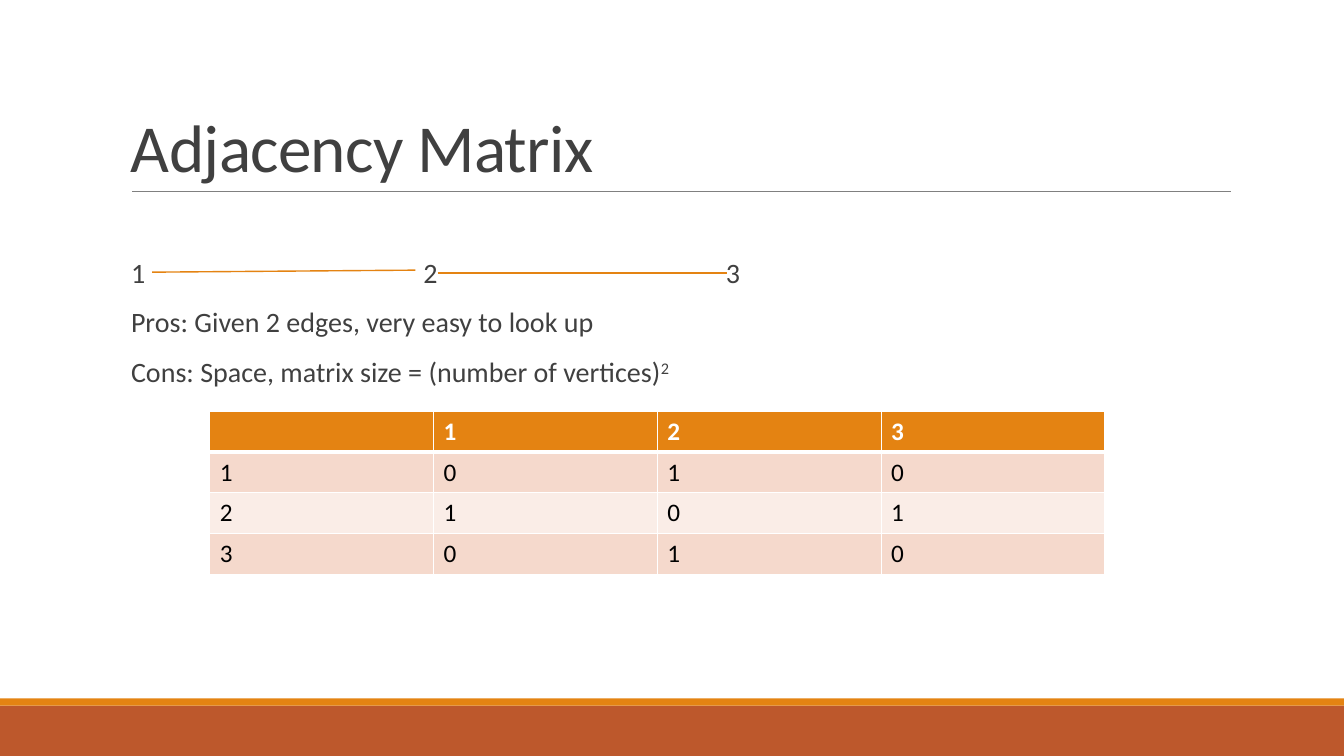
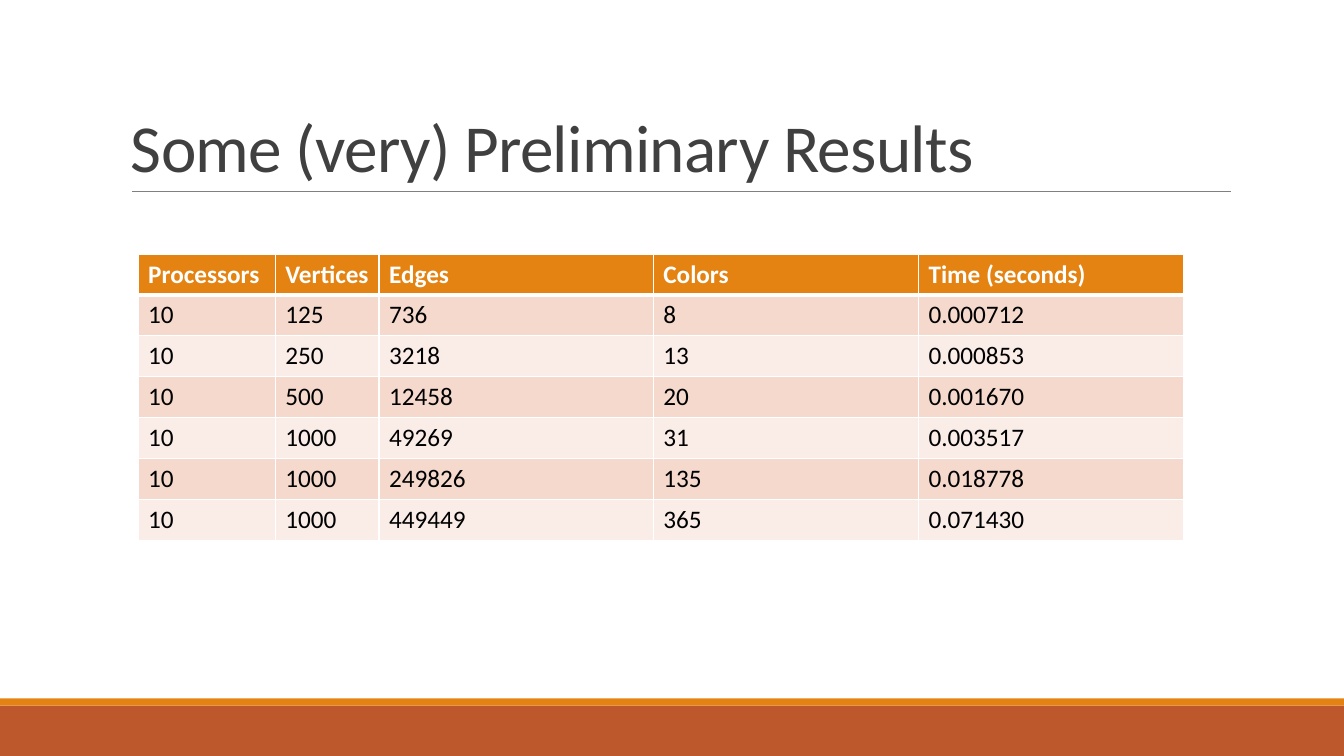
from dataclasses import dataclass

from lxml import etree
from pptx import Presentation
from pptx.dml.color import RGBColor
from pptx.enum.shapes import MSO_CONNECTOR, MSO_SHAPE
from pptx.enum.text import MSO_ANCHOR
from pptx.oxml.ns import qn
from pptx.slide import Slide
from pptx.util import Emu, Pt

RECTANGLE = MSO_SHAPE.RECTANGLE
STRAIGHT = MSO_CONNECTOR.STRAIGHT
TOP, BOTTOM = MSO_ANCHOR.TOP, MSO_ANCHOR.BOTTOM
EMU_PER_PX = 9144  # 100 px to the inch
SLIDE_WIDTH, SLIDE_HEIGHT = 1333, 750


@dataclass(frozen=True)
class Theme:
    font: str = "Calibri"
    orange: str = "E48312"
    rust: str = "BD582C"
    rule: str = "808080"
    text: str = "404040"
    cell_text: str = "000000"
    white: str = "FFFFFF"
    row_bands: tuple[str, str] = ("F5D9CC", "FAEDE7")
    title_size: int = 48
    body_size: int = 20
    table_size: int = 18


@dataclass(frozen=True)
class Band:
    top: int
    height: int
    color: str


@dataclass(frozen=True)
class Line:
    start: tuple[int, int]
    end: tuple[int, int]
    color: str
    weight: float


@dataclass(frozen=True)
class Grid:
    left: int
    top: int
    height: int
    columns: tuple[int, ...]
    rows: tuple[tuple[str, ...], ...]


THEME = Theme()

# Shared frame of every slide
BANDS = (Band(700, 50, THEME.rust), Band(693, 7, THEME.orange))
TITLE_RULE = Line((131, 190), (1221, 190), THEME.rule, 0.5)

# Content
VERTEX_STOPS = (290, 590)
EDGES = (
    Line((151, 270), (412, 268), THEME.orange, 1),
    Line((434, 271), (721, 271), THEME.orange, 1),
)
MATRIX = Grid(208, 408, 162, (222,) * 4, (
    ("", "1", "2", "3"),
    ("1", "0", "1", "0"),
    ("2", "1", "0", "1"),
    ("3", "0", "1", "0"),
))
RESULTS = Grid(137, 252, 284, (136, 103, 272, 263, 263), (
    ("Processors", "Vertices", "Edges", "Colors", "Time (seconds)"),
    ("10", "125", "736", "8", "0.000712"),
    ("10", "250", "3218", "13", "0.000853"),
    ("10", "500", "12458", "20", "0.001670"),
    ("10", "1000", "49269", "31", "0.003517"),
    ("10", "1000", "249826", "135", "0.018778"),
    ("10", "1000", "449449", "365", "0.071430"),
))


def px(length: int) -> Emu:
    return Emu(length * EMU_PER_PX)


def rgb(color: str) -> RGBColor:
    return RGBColor.from_string(color)


def write(paragraph, text: str, *, size: int, color: str = THEME.text,
          bold: bool = False, tracking: int = 0, baseline: int = 0) -> None:
    """Add a run; tracking is in 1/100 pt, baseline in percent."""
    run = paragraph.add_run()
    run.text = text
    run.font.name = THEME.font
    run.font.size = Pt(size)
    run.font.bold = bold
    run.font.color.rgb = rgb(color)
    properties = run._r.get_or_add_rPr()
    if tracking:
        properties.set("spc", str(tracking))
    if baseline:
        properties.set("baseline", str(baseline * 1000))


def add_text_frame(slide: Slide, left: int, top: int, width: int, height: int,
                   anchor: MSO_ANCHOR):
    frame = slide.shapes.add_textbox(px(left), px(top), px(width), px(height)).text_frame
    frame.word_wrap = True
    frame.vertical_anchor = anchor
    return frame


def add_band(slide: Slide, band: Band) -> None:
    strip = slide.shapes.add_shape(
        RECTANGLE, 0, px(band.top), px(SLIDE_WIDTH), px(band.height))
    strip.shadow.inherit = False
    strip.fill.solid()
    strip.fill.fore_color.rgb = rgb(band.color)
    strip.line.fill.background()


def add_line(slide: Slide, line: Line) -> None:
    connector = slide.shapes.add_connector(
        STRAIGHT, *map(px, line.start), *map(px, line.end))
    connector.line.color.rgb = rgb(line.color)
    connector.line.width = Pt(line.weight)
    etree.SubElement(connector._element.spPr, qn("a:effectLst"))


def add_titled_slide(deck, title: str) -> Slide:
    slide = deck.slides.add_slide(deck.slide_layouts[6])
    for band in BANDS:
        add_band(slide, band)
    add_line(slide, TITLE_RULE)
    heading = add_text_frame(slide, 120, 31, 1100, 159, BOTTOM).paragraphs[0]
    heading.line_spacing = 0.85
    write(heading, title, size=THEME.title_size, tracking=-50)
    return slide


def set_borders(cell, **weights: int) -> None:
    properties = cell._tc.get_or_add_tcPr()
    for side, weight in weights.items():
        border = etree.SubElement(properties, qn(f"a:ln{side}"), w=str(Pt(weight)))
        fill = etree.SubElement(border, qn("a:solidFill"))
        etree.SubElement(fill, qn("a:srgbClr"), val=THEME.white)


def add_grid(slide: Slide, grid: Grid) -> None:
    table = slide.shapes.add_table(
        len(grid.rows), len(grid.columns), px(grid.left), px(grid.top),
        px(sum(grid.columns)), px(grid.height)).table
    for column, width in zip(table.columns, grid.columns):
        column.width = px(width)
    for r, values in enumerate(grid.rows):
        header = r == 0
        fill = THEME.orange if header else THEME.row_bands[(r - 1) % 2]
        color = THEME.white if header else THEME.cell_text
        for c, value in enumerate(values):
            cell = table.cell(r, c)
            # The edge under the header is heavier
            set_borders(cell, L=1, R=1, T=3 if r == 1 else 1, B=3 if header else 1)
            cell.fill.solid()
            cell.fill.fore_color.rgb = rgb(fill)
            if value:
                write(cell.text_frame.paragraphs[0], value,
                      size=THEME.table_size, color=color, bold=header)


def set_tab_stops(paragraph, stops: tuple[int, ...]) -> None:
    tab_list = etree.SubElement(paragraph._p.get_or_add_pPr(), qn("a:tabLst"))
    for stop in stops:
        etree.SubElement(tab_list, qn("a:tab"), pos=str(px(stop)), algn="l")


def add_matrix_notes(slide: Slide) -> None:
    frame = add_text_frame(slide, 130, 252, 1090, 150, TOP)
    frame.margin_left = frame.margin_right = 0
    vertices = frame.paragraphs[0]
    pros, cons = frame.add_paragraph(), frame.add_paragraph()
    for paragraph in frame.paragraphs:
        paragraph.line_spacing = 0.9
        paragraph.space_before = Pt(12)
        paragraph.space_after = Pt(2)
    vertices.space_before = Pt(0)
    set_tab_stops(vertices, VERTEX_STOPS)
    size = THEME.body_size
    write(vertices, "1\t2\t3", size=size)
    write(pros, "Pros: Given 2 edges, very easy to look up", size=size)
    write(cons, "Cons: Space, matrix size = (number of vertices)", size=size)
    write(cons, "2", size=size, baseline=30)


def main() -> None:
    deck = Presentation()
    deck.slide_width, deck.slide_height = px(SLIDE_WIDTH), px(SLIDE_HEIGHT)

    # Adjacency matrix
    adjacency = add_titled_slide(deck, "Adjacency Matrix")
    add_matrix_notes(adjacency)
    add_grid(adjacency, MATRIX)
    for edge in EDGES:
        add_line(adjacency, edge)

    # Results
    results = add_titled_slide(deck, "Some (very) Preliminary Results")
    add_grid(results, RESULTS)

    deck.save("out.pptx")


if __name__ == "__main__":
    main()
